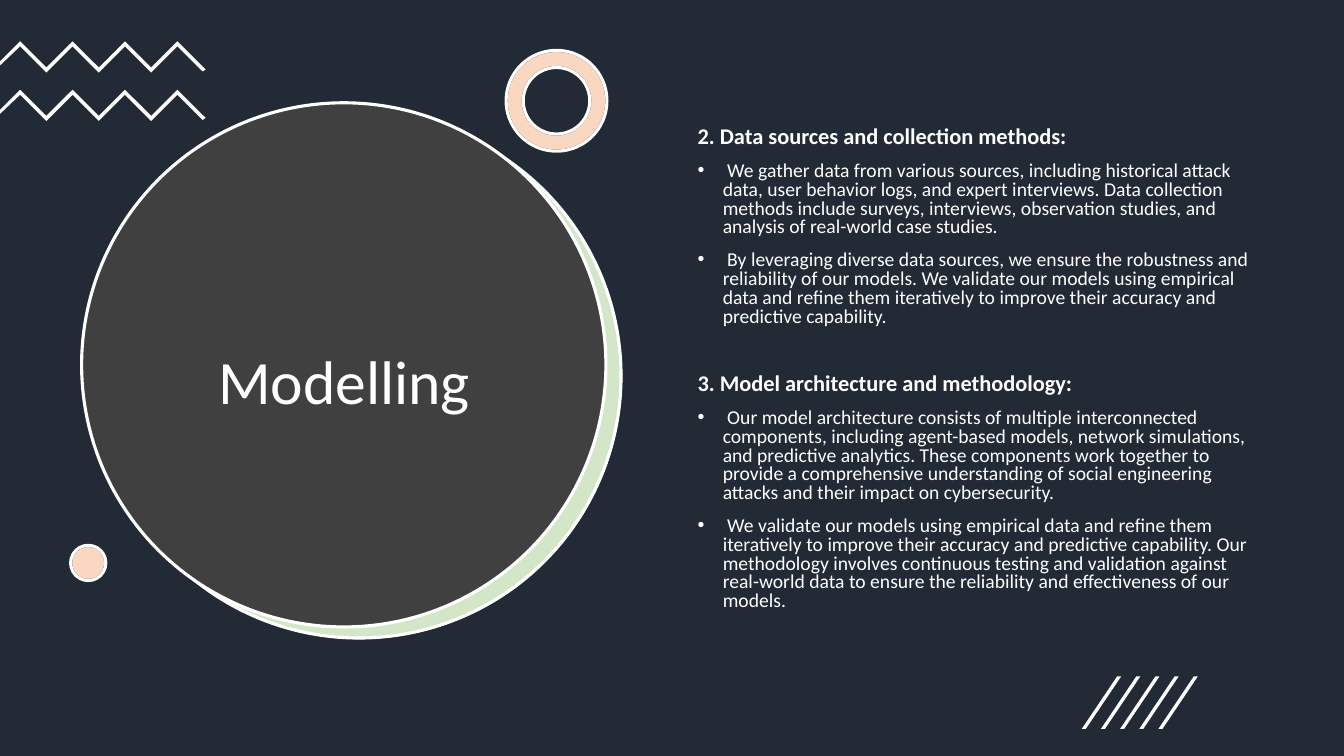
import pptx
import pptx.util
import pptx.dml.color
import pptx.enum.shapes
import pptx.enum.text
import pptx.oxml
import pptx.oxml.ns
from pptx.util import Inches

THEME = {
    "font": "Calibri", "title": 44, "heading": 16, "body": 14, "line": 2.25,
    "back": "203864", "panel": "222A35", "disc": "404040", "white": "FFFFFF",
    "black": "000000", "green": "70AD47", "orange": "ED7D31", "tint": 30,
}
TITLE = "Modelling"
SECTIONS = [
    ("2. Data sources and collection methods:", [
        " We gather data from various sources, including historical attack data, user behavior logs, and expert interviews. Data collection methods include surveys, interviews, observation studies, and analysis of real-world case studies.",
        " By leveraging diverse data sources, we ensure the robustness and reliability of our models. We validate our models using empirical data and refine them iteratively to improve their accuracy and predictive capability.",
    ]),
    ("3. Model architecture and methodology:", [
        " Our model architecture consists of multiple interconnected components, including agent-based models, network simulations, and predictive analytics. These components work together to provide a comprehensive understanding of social engineering attacks and their impact on cybersecurity.",
        " We validate our models using empirical data and refine them iteratively to improve their accuracy and predictive capability. Our methodology involves continuous testing and validation against real-world data to ensure the reliability and effectiveness of our models.",
    ]),
]
SHAPE = pptx.enum.shapes.MSO_SHAPE
ALIGN = pptx.enum.text.PP_ALIGN
ANCHOR = pptx.enum.text.MSO_ANCHOR


def rgb(name):
    return pptx.dml.color.RGBColor.from_string(THEME[name])


def paint(sp, fill, line=None, alpha=None):
    sp.shadow.inherit = False
    sp.fill.solid()
    sp.fill.fore_color.rgb = rgb(fill)
    if alpha:
        clr = sp.fill._xPr.find(".//" + pptx.oxml.ns.qn("a:srgbClr"))
        node = pptx.oxml.parse_xml(
            f'<a:alpha {pptx.oxml.ns.nsdecls("a")} val="{alpha * 1000}"/>')
        clr.append(node)
    if line:
        sp.line.color.rgb = rgb(line)
        sp.line.width = pptx.util.Pt(THEME["line"])
    else:
        sp.line.fill.background()


def add_shape(s, kind, box, fill, line=None, alpha=None):
    sp = s.shapes.add_shape(kind, *map(Inches, box))
    paint(sp, fill, line, alpha)
    return sp


def add_outline(s, points, fill):
    points = [(Inches(x), Inches(y)) for x, y in points]
    builder = s.shapes.build_freeform(*points[0], scale=1.0)
    builder.add_line_segments(points[1:], close=True)
    paint(builder.convert_to_shape(), fill)


def add_box(s, box, anchor):
    tf = s.shapes.add_textbox(*map(Inches, box)).text_frame
    tf.word_wrap = True
    tf.vertical_anchor = anchor
    return tf


def write(tf, text, size, bold=False, align=ALIGN.LEFT, spacing=0.8, before=0, bullet=False):
    p = tf.paragraphs[0] if not tf.paragraphs[0].runs else tf.add_paragraph()
    p.alignment = align
    p.line_spacing = spacing
    p.space_before = pptx.util.Pt(before)
    if bullet:
        pPr = p._p.get_or_add_pPr()
        pPr.set("marL", str(Inches(0.25)))
        pPr.set("indent", str(Inches(-0.25)))
        ns = pptx.oxml.ns.nsdecls("a")
        pPr.append(pptx.oxml.parse_xml(f'<a:buFont {ns} typeface="Arial"/>'))
        pPr.append(pptx.oxml.parse_xml(f'<a:buChar {ns} char="•"/>'))
    r = p.add_run()
    r.text = text
    r.font.name = THEME["font"]
    r.font.size = pptx.util.Pt(THEME[size])
    r.font.bold = bold
    r.font.color.rgb = rgb("white")


def add_zigzag(s, top):
    step, depth = 0.26, 0.05
    peaks = [(0.2 + step * i, top + step * (i % 2)) for i in range(7)]
    lower = [(x, y + depth) for x, y in reversed(peaks)]
    tip = [(2.04, top + 0.28), (2.01, top + 0.3)]
    edge = [(0, top + 0.24), (0, top + 0.2)]
    add_outline(s, peaks + tip + lower + edge, "white")


def add_tinted(s, kind, box):
    for fill, line, alpha in [("white", "black", None), ("orange", "white", THEME["tint"])]:
        sp = add_shape(s, kind, box, fill, line, alpha)
        if kind == SHAPE.DONUT:
            sp.adjustments[0] = 0.17


def main():
    prs = pptx.Presentation()
    prs.slide_width, prs.slide_height = Inches(13.33), Inches(7.5)
    s = prs.slides.add_slide(prs.slide_layouts[6])
    s.background.fill.solid()
    s.background.fill.fore_color.rgb = rgb("back")

    add_shape(s, SHAPE.RECTANGLE, (0, 0, 13.33, 7.5), "panel")
    add_shape(s, SHAPE.OVAL, (0.97, 1.14, 5.2, 5.2), "white")
    add_shape(s, SHAPE.OVAL, (0.96, 1.13, 5.2, 5.2), "green", "white", THEME["tint"])
    add_shape(s, SHAPE.OVAL, (0.81, 1.02, 5.2, 5.2), "disc", "white")

    tf = add_box(s, (1.21, 2.05, 4.41, 3.52), ANCHOR.MIDDLE)
    write(tf, TITLE, "title", align=ALIGN.CENTER, spacing=0.9)

    for top in (0.41, 0.89):
        add_zigzag(s, top)
    add_tinted(s, SHAPE.DONUT, (5.02, 0.5, 1, 1))
    add_tinted(s, SHAPE.OVAL, (0.7, 5.41, 0.35, 0.35))

    tf = add_box(s, (6.82, 1.21, 5.71, 5.15), ANCHOR.TOP)
    for i, (heading, points) in enumerate(SECTIONS):
        write(tf, heading, "heading", bold=True, before=33.5 if i else 10)
        for point in points:
            write(tf, point, "body", before=10, bullet=True)

    for i in range(5):
        x = 10.73 + 0.19 * i
        add_outline(s, [(x + 0.04, 7.23), (x, 7.23), (x + 0.35, 6.71), (x + 0.39, 6.71)], "white")

    prs.save("out.pptx")


if __name__ == "__main__":
    main()
